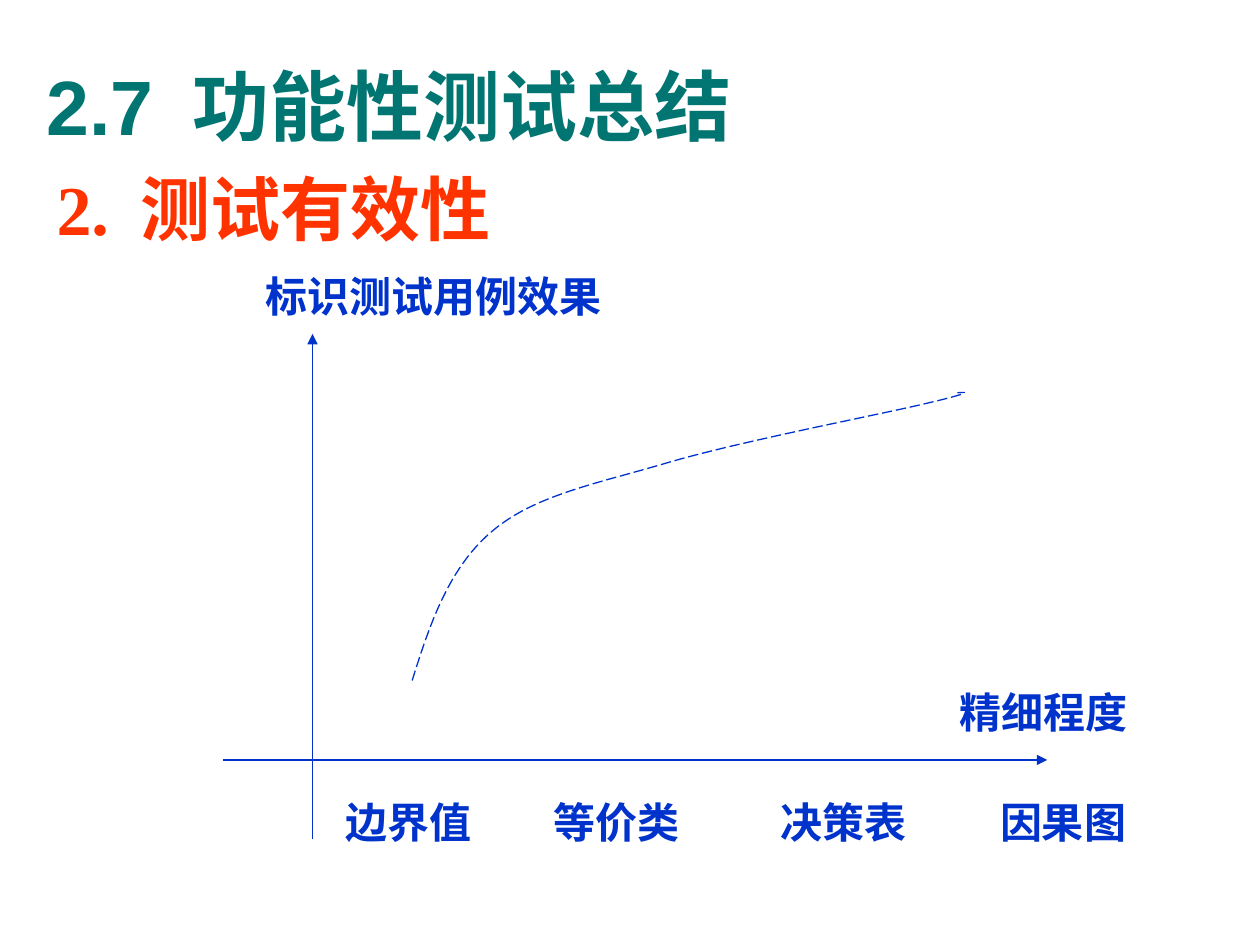
from lxml.etree import SubElement
from pptx import Presentation
from pptx.dml.color import RGBColor
from pptx.enum.dml import MSO_LINE_DASH_STYLE as Dash
from pptx.enum.shapes import MSO_CONNECTOR as Connector
from pptx.enum.text import MSO_ANCHOR as Anchor
from pptx.oxml.ns import qn
from pptx.util import Cm, Pt

COLORS = {"title": "007572", "heading": "FF3300", "diagram": "0033CC"}
CATEGORIES = [("边界值", 6.71, 3.4), ("等价类", 10.9, 3.2), ("决策表", 15.49, 3.2), ("因果图", 19.91, 3.61)]
CURVE_START = (8.31, 13.72)
CURVE_PIECES = [
    [(8.66, 12.6), (9.04, 11.46), (9.91, 10.72)],
    [(10.77, 9.98), (12.04, 9.75), (13.49, 9.32)],
    [(14.96, 8.89), (17.73, 8.36), (18.69, 8.13)],
    [(19.66, 7.9), (19.48, 7.9), (19.3, 7.92)],
]


def bezier_points(points, steps=24):
    weights = (1, 3, 3, 1)
    for step in range(1, steps + 1):
        t = step / steps
        yield tuple(
            Cm(sum(w * (1 - t) ** (3 - i) * t**i * point[axis] for i, (w, point) in enumerate(zip(weights, points))))
            for axis in (0, 1)
        )


class SlideBuilder:
    """Adds the slide's text, axes and curve in one shared style."""

    def __init__(self, slide):
        self.slide = slide

    def color(self, name):
        return RGBColor.from_string(COLORS[name])

    def text(self, box, runs, size, color, anchor=Anchor.TOP, indent=0, tab=None, line_spacing=None):
        shape = self.slide.shapes.add_textbox(*map(Cm, box))
        frame = shape.text_frame
        frame.word_wrap = True
        frame.vertical_anchor = anchor
        paragraph = frame.paragraphs[0]
        if line_spacing:
            paragraph.line_spacing = line_spacing
        properties = paragraph._p.get_or_add_pPr()
        if indent:
            properties.set("marL", str(Cm(indent)))
            properties.set("indent", str(-Cm(indent)))
        if tab:
            tabs = SubElement(properties, qn("a:tabLst"))
            SubElement(tabs, qn("a:tab"), pos=str(Cm(tab)), algn="l")
        for content, font_name in runs:
            run = paragraph.add_run()
            run.text = content
            run.font.name = font_name
            run.font.size = Pt(size)
            run.font.bold = True
            run.font.color.rgb = self.color(color)

    def label(self, content, left, top, width):
        self.text((left, top, width, 1.27), [(content, "DejaVu Sans")], 24, "diagram")

    def style_line(self, line):
        line.color.rgb = self.color("diagram")
        line.width = Pt(0.75)

    def axis(self, start, end):
        connector = self.slide.shapes.add_connector(Connector.STRAIGHT, *map(Cm, start + end))
        self.style_line(connector.line)
        SubElement(connector.line._get_or_add_ln(), qn("a:tailEnd"), type="triangle")
        SubElement(connector._element.spPr, qn("a:effectLst"))

    def curve(self, start, pieces):
        builder = self.slide.shapes.build_freeform(*map(Cm, start))
        for piece in pieces:
            builder.add_line_segments(list(bezier_points([start, *piece])), close=False)
            start = piece[-1]
        shape = builder.convert_to_shape()
        shape.shadow.inherit = False
        shape.fill.background()
        self.style_line(shape.line)
        shape.line.dash_style = Dash.LONG_DASH


def main():
    presentation = Presentation()
    presentation.slide_width, presentation.slide_height = Cm(25.4), Cm(19.05)
    builder = SlideBuilder(presentation.slides.add_slide(presentation.slide_layouts[6]))
    builder.text((0.89, 3.12, 23.39, 15.01), [("2.\t", "Times New Roman"), ("测试有效性", "Arial")],
                 40, "heading", indent=1.7, line_spacing=1.05)
    builder.text((0.69, 0.53, 23.72, 3.18), [("2.7\t功能性测试总结", "Arial")],
                 44, "title", anchor=Anchor.MIDDLE, tab=2.95)
    builder.axis((4.5, 15.32), (21.11, 15.32))
    builder.axis((6.3, 16.92), (6.3, 6.73))
    builder.label("标识测试用例效果", 5.11, 5.33, 7.59)
    for name, left, width in CATEGORIES:
        builder.label(name, left, 15.93, width)
    builder.curve(CURVE_START, CURVE_PIECES)
    builder.label("精细程度", 19.1, 13.72, 5)
    presentation.save("out.pptx")


if __name__ == "__main__":
    main()
